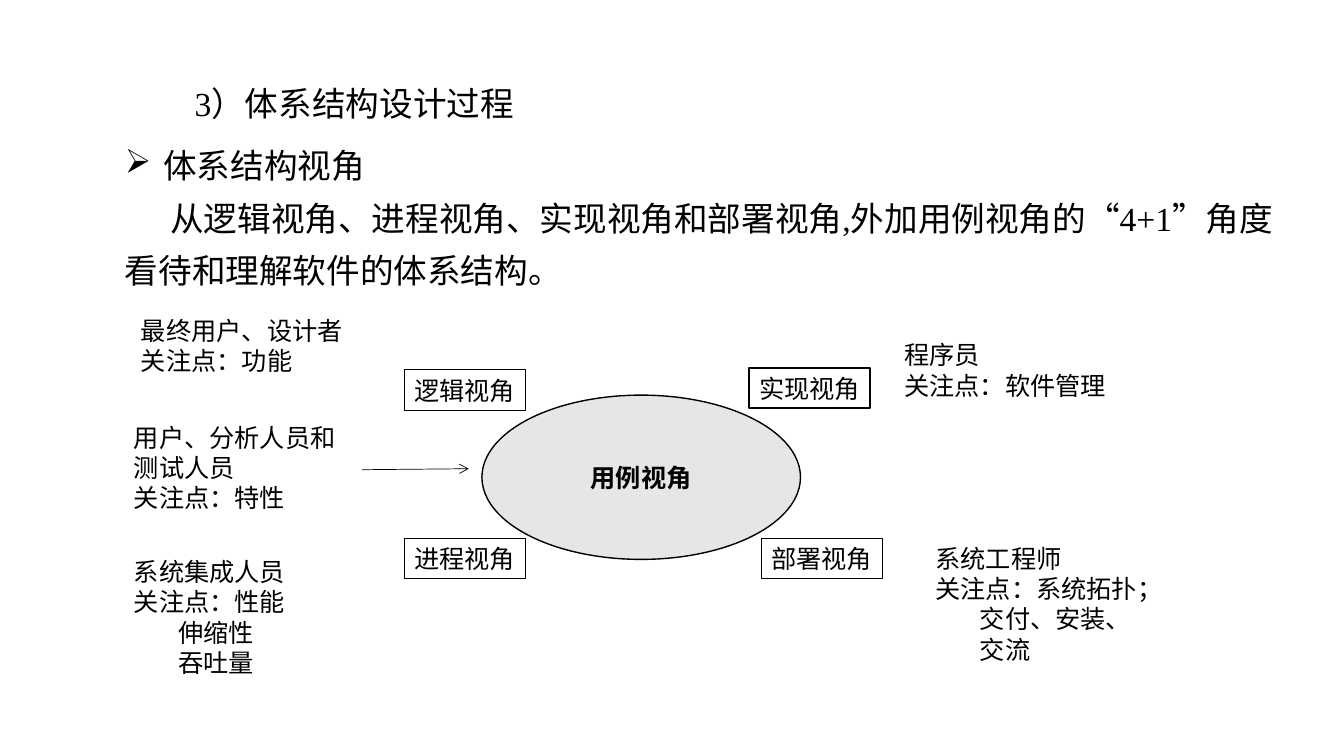
from pptx import Presentation
from pptx.dml.color import RGBColor as RGB
from pptx.enum.shapes import MSO_CONNECTOR as CONN, MSO_SHAPE as SHAPE
from pptx.enum.text import MSO_ANCHOR as ANCHOR, MSO_AUTO_SIZE as AUTO, PP_ALIGN as ALIGN
from pptx.oxml.ns import qn
from pptx.util import Inches, Pt
from lxml.etree import SubElement

COLORS = {"ink": "000000", "ellipse": "E7E6E6"}
CJK, LATIN = "Noto Sans CJK SC", "Times New Roman"


class ViewSlide:
    def __init__(self, prs):
        self.slide = prs.slides.add_slide(prs.slide_layouts[5])
        self.shapes = self.slide.shapes

    def color(self, name):
        return RGB.from_string(COLORS[name])

    def set_text(self, sp, lines, size=18, font=CJK, bold=False, align=ALIGN.LEFT, indents=None):
        """Fill a shape with paragraphs; indents maps a line number to (left margin, first line)."""
        tf = sp.text_frame
        tf.text = "\n".join(lines)
        tf.word_wrap = True
        tf.auto_size = AUTO.SHAPE_TO_FIT_TEXT
        tf.vertical_anchor = ANCHOR.TOP
        for i, p in enumerate(tf.paragraphs):
            p.alignment = align
            if i in (indents or {}):
                margin, first = indents[i]
                pPr = p._p.get_or_add_pPr()
                pPr.set("marL", str(Inches(margin)))
                pPr.set("indent", str(Inches(first)))
            for r in p.runs:
                r.font.size, r.font.bold = Pt(size), bold
                r.font.color.rgb = self.color("ink")
                r.font.name = font
                rPr = r._r.get_or_add_rPr()
                rPr.set("lang", "zh-CN")
                SubElement(rPr, qn("a:ea")).set("typeface", CJK)
        return tf

    def title(self, text, x, y, w, h):
        sp = self.shapes.title
        sp.left, sp.top, sp.width, sp.height = map(Inches, (x, y, w, h))
        self.set_text(sp, [text], 24, LATIN, indents={0: (0, 0.33)})

    def text(self, lines, x, y, w, h, **style):
        sp = self.shapes.add_textbox(*map(Inches, (x, y, w, h)))
        return self.set_text(sp, lines, **style)

    def body(self, heading, text, x, y, w, h):
        tf = self.text([heading, text], x, y, w, h, size=24, font=LATIN,
                       indents={0: (0.38, -0.38), 1: (0, 0.45)})
        SubElement(tf.paragraphs[0]._p.get_or_add_pPr(), qn("a:buChar")).set("char", "➢")
        for p in tf.paragraphs:
            p.line_spacing = 1.3

    def shape(self, kind, x, y, w, h, line):
        sp = self.shapes.add_shape(kind, *map(Inches, (x, y, w, h)))
        sp.shadow.inherit = False
        sp.line.color.rgb = self.color("ink")
        sp.line.width = Pt(line)
        return sp

    def ellipse(self, text, x, y, w, h):
        sp = self.shape(SHAPE.OVAL, x, y, w, h, 1)
        sp.fill.solid()
        sp.fill.fore_color.rgb = self.color("ellipse")
        tf = self.set_text(sp, [text], bold=True, align=ALIGN.CENTER)
        tf.auto_size = AUTO.NONE
        tf.vertical_anchor = ANCHOR.MIDDLE

    def label(self, text, x, y, line=0.75):
        sp = self.shape(SHAPE.RECTANGLE, x, y, 1.2, 0.4, line)
        sp.fill.background()
        self.set_text(sp, [text])

    def arrow(self, x1, y1, x2, y2):
        c = self.shapes.add_connector(CONN.STRAIGHT, *map(Inches, (x1, y1, x2, y2)))
        c.line.color.rgb = self.color("ink")
        c.line.width = Pt(0.5)
        spPr = c._element.spPr
        SubElement(spPr.get_or_add_ln(), qn("a:tailEnd")).set("type", "arrow")
        SubElement(spPr, qn("a:effectLst"))


def main():
    prs = Presentation()
    prs.slide_width, prs.slide_height = Inches(13.33), Inches(7.5)
    s = ViewSlide(prs)

    s.title("3）体系结构设计过程", 1.5, 0.77, 5.18, 0.5)
    s.body("体系结构视角",
           "从逻辑视角、进程视角、实现视角和部署视角,外加用例视角的“4+1”角度看待和理解软件的体系结构。",
           1.14, 1.27, 11.75, 1.67)

    s.ellipse("用例视角", 4.78, 3.92, 3.16, 1.63)
    s.label("逻辑视角", 4.01, 3.67)
    s.label("实现视角", 7.43, 3.65, line=1)
    s.label("进程视角", 4.01, 5.34)
    s.label("部署视角", 7.55, 5.34)

    sub_items = {2: (0.44, 0), 3: (0.44, 0)}
    s.text(["程序员", "关注点：软件管理"], 8.87, 3.32, 2.41, 0.71)
    s.text(["系统工程师", "关注点：系统拓扑；", "交付、安装、", "交流"],
           9.18, 5.34, 2.8, 1.31, indents=sub_items)
    s.text(["最终用户、设计者关注点：功能"], 1.3, 3.08, 2.41, 0.71)
    s.text(["用户、分析人员和测试人员", "关注点：特性"], 1.23, 4.14, 2.41, 1.01)
    s.text(["系统集成人员", "关注点：性能", "伸缩性", "吞吐量"],
           1.23, 5.47, 2.41, 1.31, indents=sub_items)
    s.arrow(3.59, 4.66, 4.65, 4.65)

    prs.save("out.pptx")


if __name__ == "__main__":
    main()
